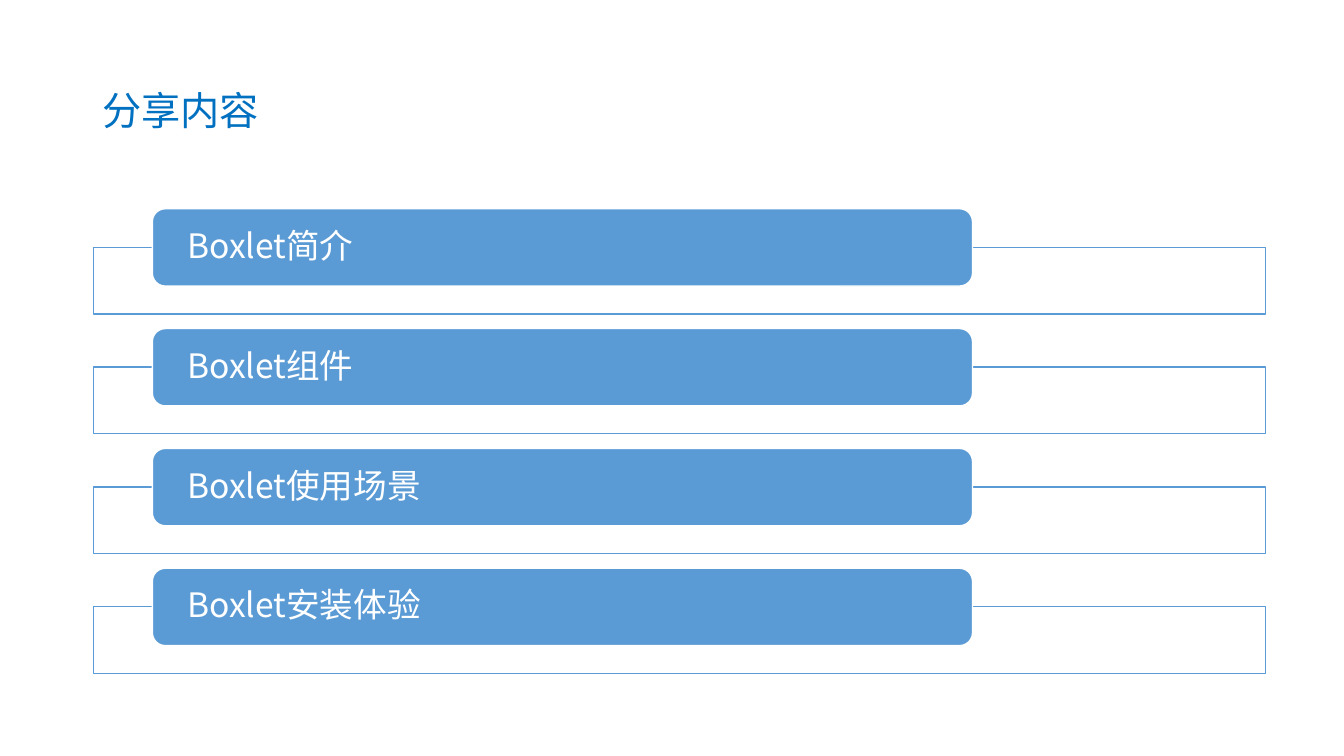
"""Builds the agenda slide of a talk about Boxlet."""
from lxml import etree
from pptx import Presentation
from pptx.dml.color import RGBColor
from pptx.enum.shapes import MSO_SHAPE
from pptx.enum.text import MSO_ANCHOR, PP_ALIGN
from pptx.oxml.ns import qn
from pptx.util import Cm, Pt

RECTANGLE = MSO_SHAPE.RECTANGLE
ROUNDED = MSO_SHAPE.ROUNDED_RECTANGLE
MIDDLE = MSO_ANCHOR.MIDDLE
LEFT = PP_ALIGN.LEFT
FONT = "Noto Sans CJK SC"
BLUE = "5B9BD5"
WHITE = "FFFFFF"
TOPICS = ["Boxlet简介", "Boxlet组件", "Boxlet使用场景", "Boxlet安装体验"]
ROW_PITCH = 3.02


def write(box, text, size, color, inset, margin=0):
    frame = box.text_frame
    frame.word_wrap = True
    frame.vertical_anchor = MIDDLE
    frame.margin_left = frame.margin_right = Cm(inset)
    frame.margin_top = frame.margin_bottom = Cm(margin)
    para = frame.paragraphs[0]
    para.alignment = LEFT
    para.line_spacing = 0.9
    span = para.add_run()
    span.text = text
    span.font.size = Pt(size)
    span.font.name = FONT
    span.font.color.rgb = RGBColor.from_string(color)
    etree.SubElement(span.font._element, qn("a:ea"), typeface=FONT)


def draw(kind, left, top, width, height, fill, line):
    shape = page.shapes.add_shape(kind, Cm(left), Cm(top), Cm(width), Cm(height))
    shape.shadow.inherit = False
    shape.fill.solid()
    shape.fill.fore_color.rgb = RGBColor.from_string(fill)
    shape.line.color.rgb = RGBColor.from_string(line)
    shape.line.width = Pt(1)
    return shape


deck = Presentation()
deck.slide_width = Cm(33.87)
deck.slide_height = Cm(19.05)
page = deck.slides.add_slide(deck.slide_layouts[6])

title = page.shapes.add_textbox(Cm(2.33), Cm(1.01), Cm(29.21), Cm(3.68))
write(title, "分享内容", 28, "0070C0", inset=0.25, margin=0.13)

for row, topic in enumerate(TOPICS):
    offset = row * ROW_PITCH
    panel = draw(RECTANGLE, 2.36, 6.23 + offset, 29.53, 1.68, WHITE, BLUE)
    color = panel.fill._xPr.find(".//" + qn("a:srgbClr"))
    etree.SubElement(color, qn("a:alpha"), val="90000")
    bar = draw(ROUNDED, 3.84, 5.26 + offset, 20.67, 1.95, BLUE, WHITE)
    write(bar, topic, 24, WHITE, inset=0.79)

deck.save("out.pptx")
